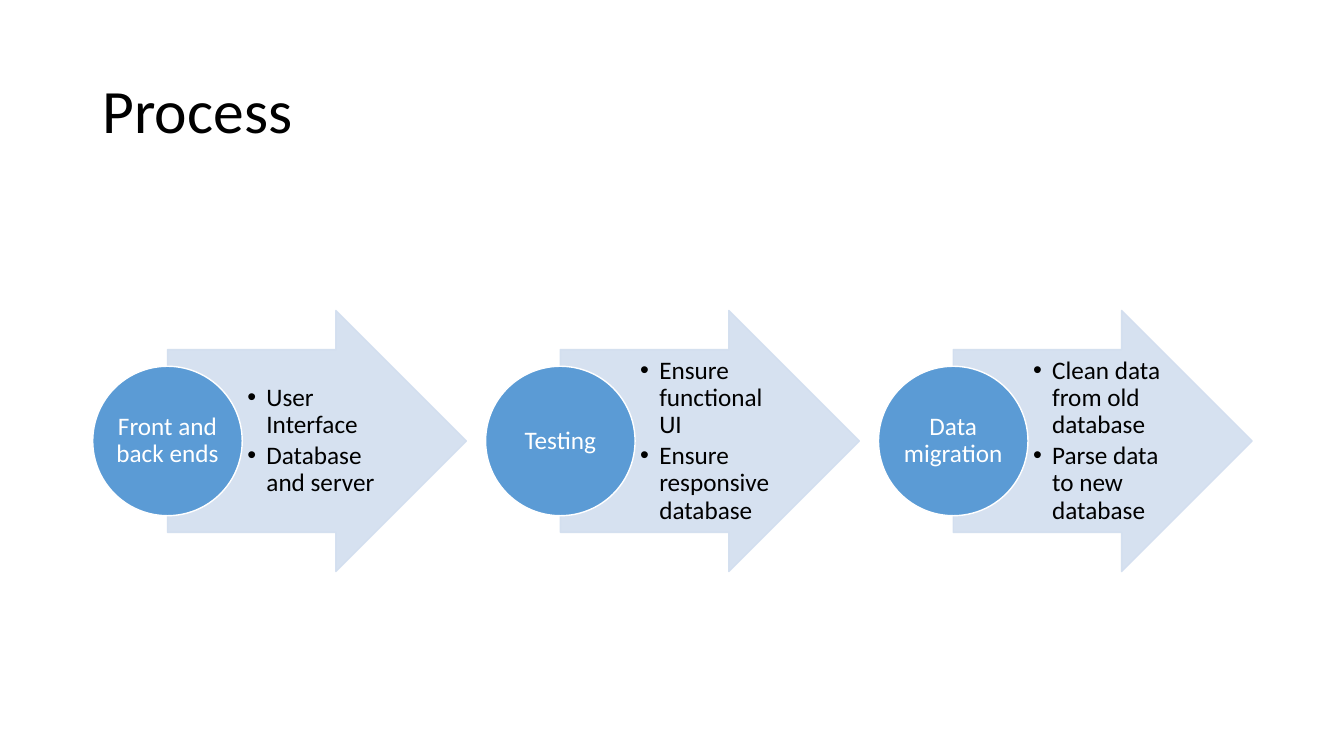
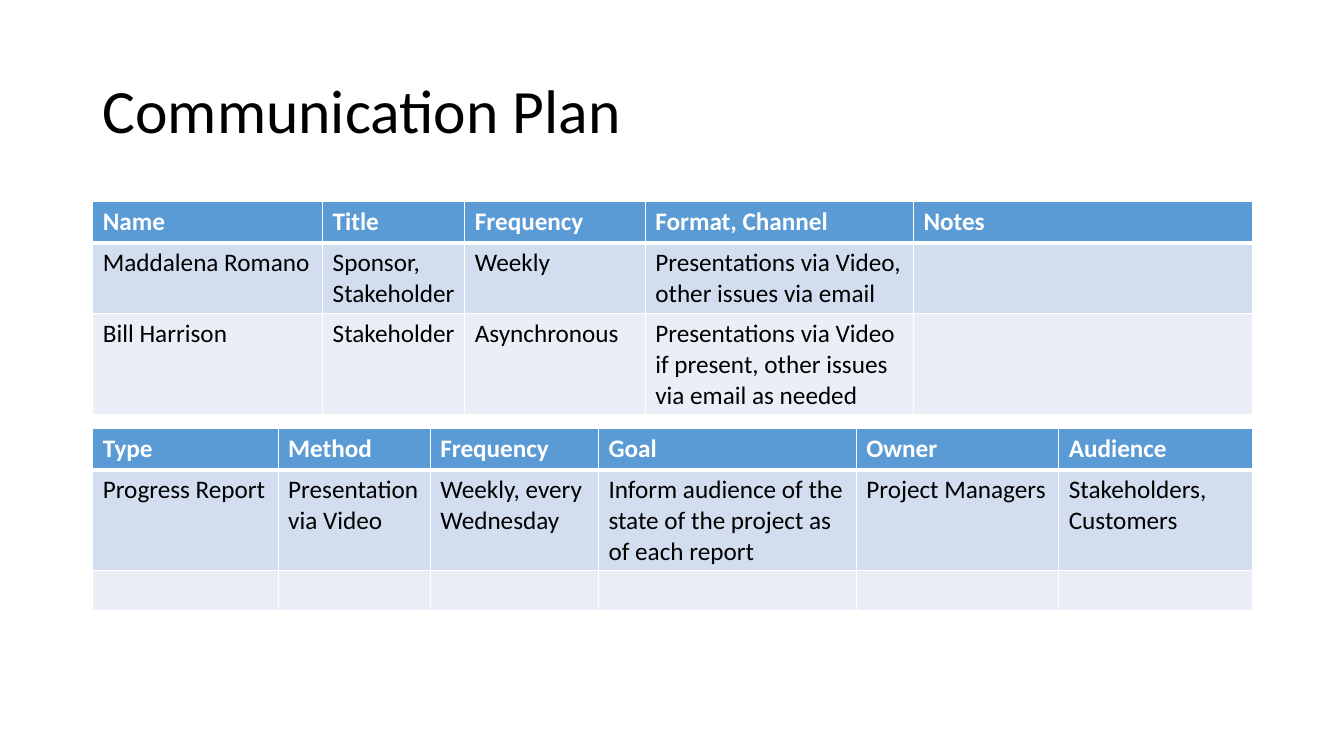
from collections import namedtuple

from lxml.etree import SubElement
from pptx import Presentation
from pptx.dml.color import RGBColor
from pptx.enum.shapes import MSO_SHAPE as Shape
from pptx.enum.text import MSO_ANCHOR as Anchor, PP_ALIGN as Align
from pptx.oxml.ns import qn
from pptx.util import Inches, Pt

COLORS = {
    "text": "000000",
    "white": "FFFFFF",
    "accent": "5B9BD5",
    "pale": "D2DEEF",
    "paler": "EAEFF7",
}
FONT = "Calibri"
SLIDE_W, SLIDE_H = 13.33, 7.5

Box = namedtuple("Box", "left top width height")
TITLE = Box(0.92, 0.4, 11.5, 1.45)
PROCESS = Box(TITLE.left, 3.08, TITLE.width, 2.59)
PEOPLE = Box(TITLE.left, 2, TITLE.width, 2.11)
REPORTS = Box(TITLE.left, 4.25, TITLE.width, 1.81)

STEPS = [
    ("Front and back ends", ["User Interface", "Database and server"]),
    ("Testing", ["Ensure functional UI", "Ensure responsive database"]),
    ("Data migration", ["Clean data from old database", "Parse data to new database"]),
]
PEOPLE_ROWS = [
    ["Name", "Title", "Frequency", "Format, Channel", "Notes"],
    ["Maddalena Romano", "Sponsor, Stakeholder", "Weekly",
     "Presentations via Video, other issues via email", ""],
    ["Bill Harrison", "Stakeholder", "Asynchronous",
     "Presentations via Video if present, other issues via email as needed", ""],
]
REPORT_ROWS = [
    ["Type", "Method", "Frequency", "Goal", "Owner", "Audience"],
    ["Progress Report", "Presentation via Video", "Weekly, every Wednesday",
     "Inform audience of the state of the project as of each report",
     "Project Managers", "Stakeholders, Customers"],
    [""] * 6,
]


def rgb(name):
    """Return the named palette colour."""
    return RGBColor.from_string(COLORS[name])


def inches(box):
    """Convert a box to lengths python-pptx accepts."""
    return [Inches(length) for length in box]


def write(frame, lines, size=18, color="text", bold=False, align=Align.LEFT,
          anchor=Anchor.MIDDLE, insets=None, spacing=0.9, after=0, bullet_indent=0):
    """Fill a text frame with one paragraph per line."""
    frame.word_wrap = True
    frame.vertical_anchor = anchor
    if insets:
        (frame.margin_left, frame.margin_top,
         frame.margin_right, frame.margin_bottom) = inches(insets)
    for number, line in enumerate(lines):
        paragraph = frame.add_paragraph() if number else frame.paragraphs[0]
        paragraph.alignment = align
        paragraph.line_spacing = spacing
        paragraph.space_after = Pt(after)
        if bullet_indent:
            props = paragraph._p.get_or_add_pPr()
            props.set("marL", str(Inches(bullet_indent)))
            props.set("indent", str(-Inches(bullet_indent)))
            SubElement(props, qn("a:buFont"), typeface="Arial")
            SubElement(props, qn("a:buChar"), char="•")
        run = paragraph.add_run()
        run.text = line
        run.font.name, run.font.size, run.font.bold = FONT, Pt(size), bold
        run.font.color.rgb = rgb(color)


def add_text(slide, box, lines, **text_format):
    """Add a text box."""
    write(slide.shapes.add_textbox(*inches(box)).text_frame, lines, **text_format)


def add_figure(slide, kind, box, fill, line, opacity=100):
    """Add a flat preset shape with a one-point outline."""
    figure = slide.shapes.add_shape(kind, *inches(box))
    figure.shadow.inherit = False
    figure.line.width = Pt(1)
    for paint, color in ((figure.fill, fill), (figure.line.fill, line)):
        paint.solid()
        paint.fore_color.rgb = rgb(color)
    if opacity < 100:
        for color in figure._element.spPr.iter(qn("a:srgbClr")):
            SubElement(color, qn("a:alpha"), val=str(opacity * 1000))
    return figure


def add_step(slide, box, label, tasks):
    """Draw an arrow with its tasks and a labelled circle over its tail."""
    circle = 0.4 * box.width
    middle = box.top + box.height / 2
    arrow_box = Box(box.left + circle / 2, box.top, box.width - circle / 2, box.height)
    arrow = add_figure(slide, Shape.RIGHT_ARROW, arrow_box, "pale", "pale", opacity=90)
    shaft = 0.7
    arrow.adjustments[0], arrow.adjustments[1] = shaft, 0.5

    tasks_h = shaft * box.height
    tasks_box = Box(box.left + circle, middle - tasks_h / 2, 0.39 * box.width, tasks_h)
    add_text(slide, tasks_box, tasks, insets=(0.05, 0.01, 0.03, 0.01),
             after=2.7, bullet_indent=0.19)

    circle_box = Box(box.left, middle - circle / 2, circle, circle)
    disc = add_figure(slide, Shape.OVAL, circle_box, "accent", "white")
    write(disc.text_frame, [label], color="white", align=Align.CENTER, insets=[0.01] * 4)


def add_process(slide, box, steps, gap=0.19):
    """Spread the steps evenly across the box."""
    width = (box.width - gap * (len(steps) - 1)) / len(steps)
    for number, (label, tasks) in enumerate(steps):
        left = box.left + number * (width + gap)
        add_step(slide, Box(left, box.top, width, box.height), label, tasks)


def add_borders(cell, **widths):
    """Draw white cell borders; widths are points by side L, R, T, B."""
    props = cell._tc.get_or_add_tcPr()
    for side, width in widths.items():
        border = SubElement(props, qn(f"a:ln{side}"), w=str(Pt(width)))
        paint = SubElement(border, qn("a:solidFill"))
        SubElement(paint, qn("a:srgbClr"), val=COLORS["white"])


def add_plan(slide, box, rows, columns, heights):
    """Add a table with a header row and two alternating row tints."""
    table = slide.shapes.add_table(len(rows), len(columns), *inches(box)).table
    for column, share in zip(table.columns, columns):
        column.width = Inches(box.width * share / sum(columns))
    for r, (row, height) in enumerate(zip(rows, heights)):
        table.rows[r].height = Inches(height)
        header = r == 0
        for c, words in enumerate(row):
            cell = table.cell(r, c)
            add_borders(cell, L=1, R=1, T=3 if r == 1 else 1, B=3 if header else 1)
            cell.fill.solid()
            cell.fill.fore_color.rgb = rgb(("accent", "pale", "paler")[r])
            if words:
                write(cell.text_frame, [words], bold=header, spacing=1,
                      color="white" if header else "text", anchor=Anchor.TOP)


def add_slide(deck, title):
    """Add a blank slide with the shared title."""
    slide = deck.slides.add_slide(deck.slide_layouts[6])
    add_text(slide, TITLE, [title], size=44)
    return slide


def process_slide(deck):
    """Build the three-step process slide."""
    add_process(add_slide(deck, "Process"), PROCESS, STEPS)


def communication_slide(deck):
    """Build the slide with the contact and report tables."""
    slide = add_slide(deck, "Communication Plan")
    add_plan(slide, PEOPLE, PEOPLE_ROWS, (2.28, 1.41, 1.79, 2.66, 3.36), (0.41, 0.7, 1))
    add_plan(slide, REPORTS, REPORT_ROWS,
             (1.84, 1.51, 1.67, 2.56, 2.01, 1.92), (0.41, 1, 0.4))


deck = Presentation()
deck.slide_width, deck.slide_height = Inches(SLIDE_W), Inches(SLIDE_H)
process_slide(deck)
communication_slide(deck)
deck.save("out.pptx")
